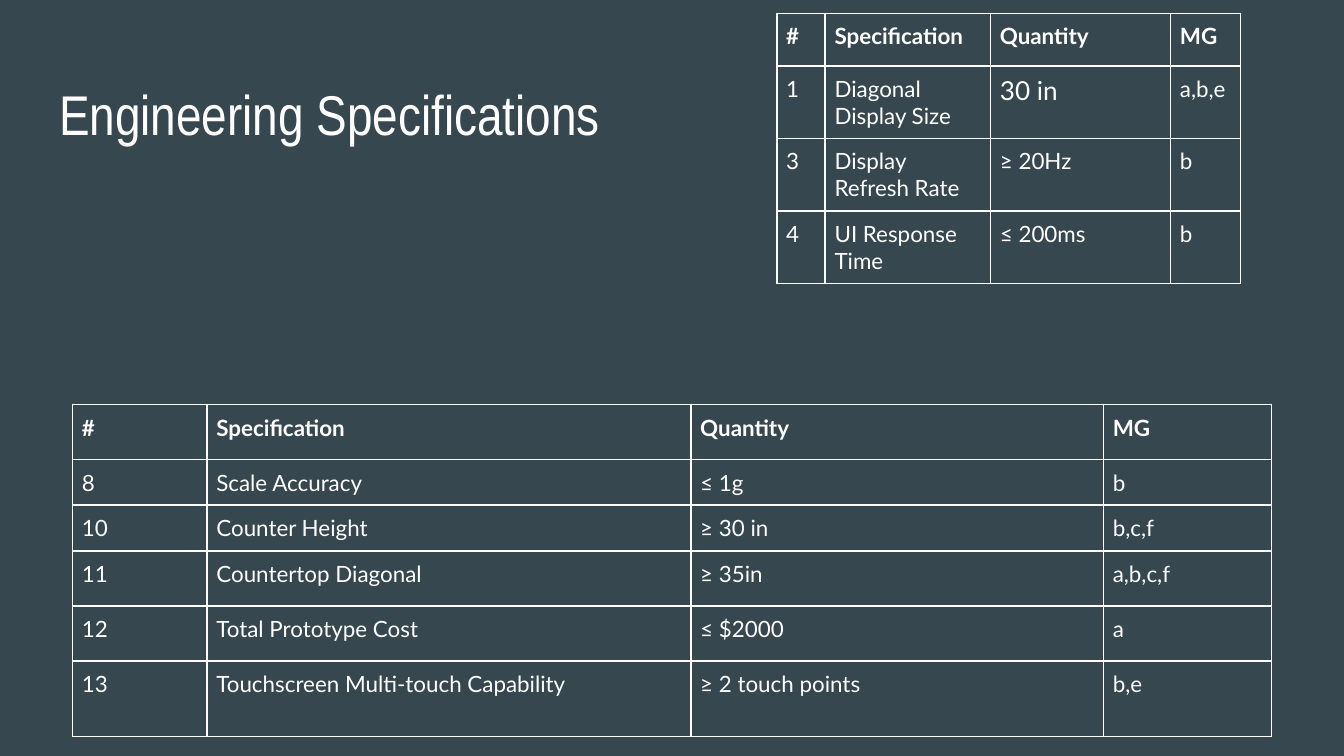
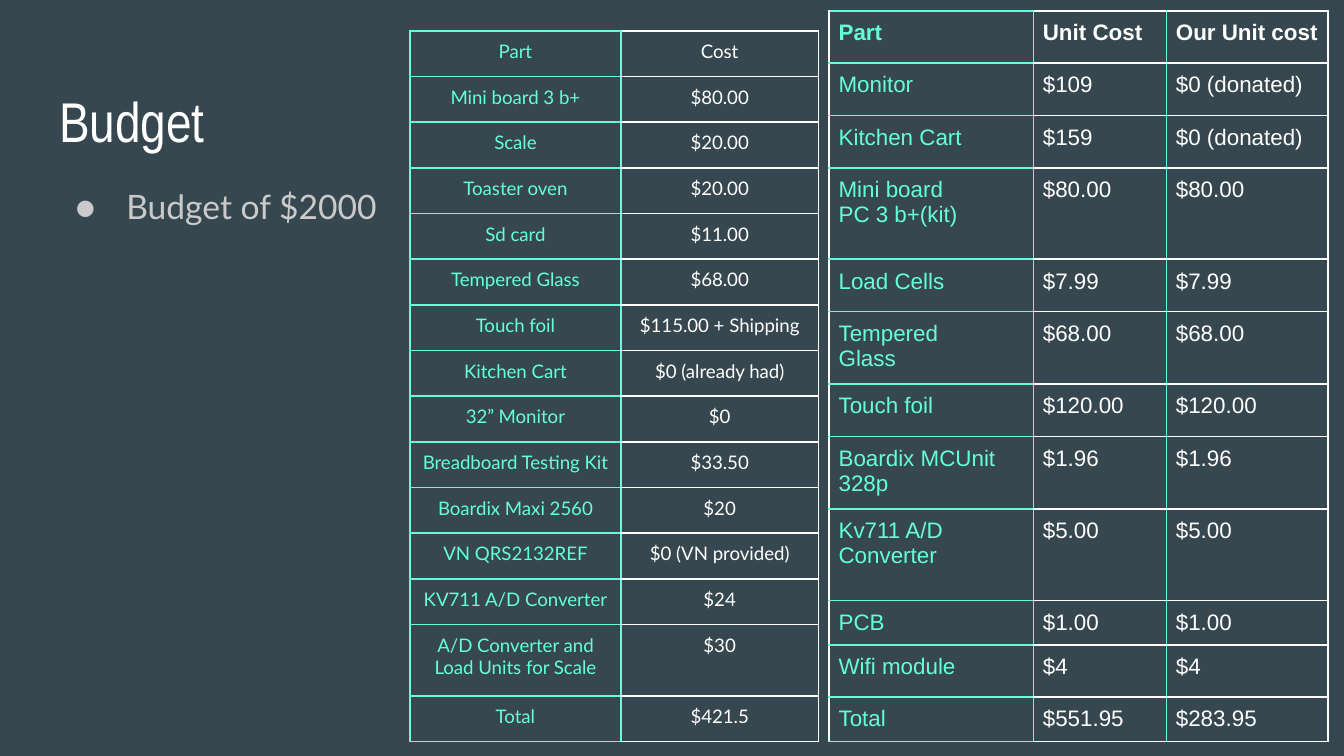
import pptx
import pptx.util
import pptx.dml.color
import pptx.enum.text
import pptx.oxml

COLORS = {"back": "37474F", "white": "FFFFFF", "teal": "64FFDA", "gray": "CACACA"}
FONTS = {"title": "Arial Narrow", "text": "Lato", "table": "Arial"}
ALIGN = pptx.enum.text.PP_ALIGN
Inches = pptx.util.Inches
Pt = pptx.util.Pt

SPEC_HEADER = ("#", "Specification", "Quantity", "MG")
DISPLAY_SPECS = [
    SPEC_HEADER,
    ("1", "Diagonal Display Size", "30 in", "a,b,e"),
    ("3", "Display Refresh Rate", "≥ 20Hz", "b"),
    ("4", "UI Response Time", "≤ 200ms", "b"),
]
COUNTER_SPECS = [
    SPEC_HEADER,
    ("8", "Scale Accuracy", "≤ 1g", "b"),
    ("10", "Counter Height", "≥ 30 in", "b,c,f"),
    ("11", "Countertop Diagonal", "≥ 35in", "a,b,c,f"),
    ("12", "Total Prototype Cost", "≤ $2000", "a"),
    ("13", "Touchscreen Multi-touch Capability", "≥ 2 touch points", "b,e"),
]
UNIT_COSTS = [
    ("Part", "Unit Cost", "Our Unit cost"),
    ("Monitor", "$109", "$0 (donated)"),
    ("Kitchen Cart", "$159", "$0 (donated)"),
    ("Mini board\nPC 3 b+(kit)", "$80.00", "$80.00"),
    ("Load Cells", "$7.99", "$7.99"),
    ("Tempered\nGlass", "$68.00", "$68.00"),
    ("Touch foil", "$120.00", "$120.00"),
    ("Boardix MCUnit 328p", "$1.96", "$1.96"),
    ("Kv711 A/D Converter", "$5.00", "$5.00"),
    ("PCB", "$1.00", "$1.00"),
    ("Wifi module", "$4", "$4"),
    ("Total", "$551.95", "$283.95"),
]
PART_COSTS = [
    ("Part", "Cost"),
    ("Mini board 3 b+", "$80.00"),
    ("Scale", "$20.00"),
    ("Toaster oven", "$20.00"),
    ("Sd card", "$11.00"),
    ("Tempered Glass", "$68.00"),
    ("Touch foil", "$115.00 + Shipping"),
    ("Kitchen Cart", "$0 (already had)"),
    ("32” Monitor", "$0"),
    ("Breadboard Testing Kit", "$33.50"),
    ("Boardix Maxi 2560", "$20"),
    ("VN QRS2132REF", "$0 (VN provided)"),
    ("KV711 A/D Converter", "$24"),
    ("A/D Converter and Load Units for Scale", "$30"),
    ("Total", "$421.5"),
]

WHITE_COLUMN = ("white",) * 4
TEAL_COLUMN = ("teal",) * 4
COST_COLUMN = ("teal", "white", "white", "white")


def add_run(p, text, size, font, color, bold=False):
    r = p.add_run()
    r.text = text
    r.font.size = Pt(size)
    r.font.name = font
    r.font.bold = bold
    r.font.color.rgb = pptx.dml.color.RGBColor.from_string(COLORS[color])


def place(sp, left, top, width, height):
    sp.left, sp.top = Inches(left), Inches(top)
    sp.width, sp.height = Inches(width), Inches(height)
    tf = sp.text_frame
    tf.margin_left = tf.margin_right = tf.margin_top = tf.margin_bottom = Inches(0.1)
    tf.vertical_anchor = pptx.enum.text.MSO_ANCHOR.TOP
    tf.auto_size = pptx.enum.text.MSO_AUTO_SIZE.NONE
    tf.word_wrap = True
    p = tf.paragraphs[0]
    p.alignment = ALIGN.LEFT
    p.space_before = Pt(0)
    return p


def add_slide(prs, layout, title, top):
    s = prs.slides.add_slide(prs.slide_layouts.get_by_name(layout))
    p = place(s.shapes.title, 0.34, top, 9.32, 0.63)
    add_run(p, title, 30, FONTS["title"], "white")
    return s


def set_borders(cell, sides):
    tcPr = cell._tc.get_or_add_tcPr()
    for i, (tag, color) in enumerate(zip(("lnL", "lnR", "lnT", "lnB"), sides)):
        tcPr.insert(i, pptx.oxml.parse_xml(
            f'<a:{tag} xmlns:a="http://schemas.openxmlformats.org/drawingml/2006/main" w="12700">'
            f'<a:solidFill><a:srgbClr val="{COLORS[color]}"/></a:solidFill></a:{tag}>'))


def add_table(s, left, top, widths, heights, rows, borders, size, font,
              first="white", header_bold=True, align=ALIGN.LEFT):
    frame = s.shapes.add_table(len(rows), len(widths), Inches(left), Inches(top),
                               Inches(sum(widths)), Inches(sum(heights)))
    table = frame.table
    table.first_row = table.horz_banding = False
    for column, width in zip(table.columns, widths):
        column.width = Inches(width)
    for i, (row, height) in enumerate(zip(rows, heights)):
        table.rows[i].height = Inches(height)
        for j, text in enumerate(row):
            cell = table.cell(i, j)
            cell.margin_left = cell.margin_right = Inches(0.07)
            cell.margin_top = cell.margin_bottom = Inches(0.07)
            cell.fill.background()
            set_borders(cell, borders[j])
            tf = cell.text_frame
            for k, line in enumerate(text.split("\n")):
                p = tf.add_paragraph() if k else tf.paragraphs[0]
                p.alignment = align
                add_run(p, line, size, font, "white" if j else first,
                        header_bold and i == 0)
    return table


def build_specifications(prs):
    s = add_slide(prs, "Title Only", "Engineering Specifications", 0.49)
    borders = [WHITE_COLUMN] * 4
    display = add_table(s, 5.78, 0.1, (0.36, 1.23, 1.34, 0.52), [0.39] + [0.54] * 3,
                        DISPLAY_SPECS, borders, 12, FONTS["text"])
    p = display.cell(1, 2).text_frame.paragraphs[0]
    p.alignment = ALIGN.JUSTIFY
    p.runs[0].font.size = Pt(14)
    add_table(s, 0.54, 3.01, (1, 3.6, 3.07, 1.25), (0.41, 0.34, 0.34, 0.41, 0.41, 0.56),
              COUNTER_SPECS, borders, 12, FONTS["text"])


def build_budget(prs):
    s = add_slide(prs, "Title and Content", "Budget", 0.54)
    p = place(s.placeholders[1], 0.34, 1.24, 4.31, 3.74)
    p.line_spacing = 1.15
    pPr = p._p.get_or_add_pPr()
    pPr.set("marL", str(Inches(0.5)))
    pPr.set("indent", str(Inches(-0.38)))
    for xml in (f'buClr {{}}><a:srgbClr val="{COLORS["gray"]}"/></a:buClr>',
                'buFont {} typeface="Lato"/>', 'buChar {} char="●"/>'):
        pPr.append(pptx.oxml.parse_xml("<a:" + xml.format(
            'xmlns:a="http://schemas.openxmlformats.org/drawingml/2006/main"')))
    add_run(p, "Budget of $2000", 18, FONTS["text"], "gray")

    unit_borders = [("white", "teal", "teal", "teal"),
                    ("teal", "teal", "white", "white"), COST_COLUMN]
    unit_heights = [0.39] * 3 + [0.68, 0.39, 0.54, 0.39, 0.54, 0.68, 0.33, 0.39, 0.33]
    add_table(s, 6.17, 0.08, (1.52, 0.99, 1.2), unit_heights, UNIT_COSTS, unit_borders,
              12, FONTS["table"], first="teal")
    add_table(s, 3.05, 0.23, (1.57, 1.47), [0.34] * 13 + [0.53, 0.34], PART_COSTS,
              [TEAL_COLUMN, COST_COLUMN], 10, FONTS["text"], first="teal",
              header_bold=False, align=ALIGN.CENTER)


def main():
    prs = pptx.Presentation()
    prs.slide_width = Inches(10)
    prs.slide_height = prs.slide_width * 9 // 16
    fill = prs.slide_master.background.fill
    fill.solid()
    fill.fore_color.rgb = pptx.dml.color.RGBColor.from_string(COLORS["back"])
    build_specifications(prs)
    build_budget(prs)
    prs.save("out.pptx")


if __name__ == "__main__":
    main()
